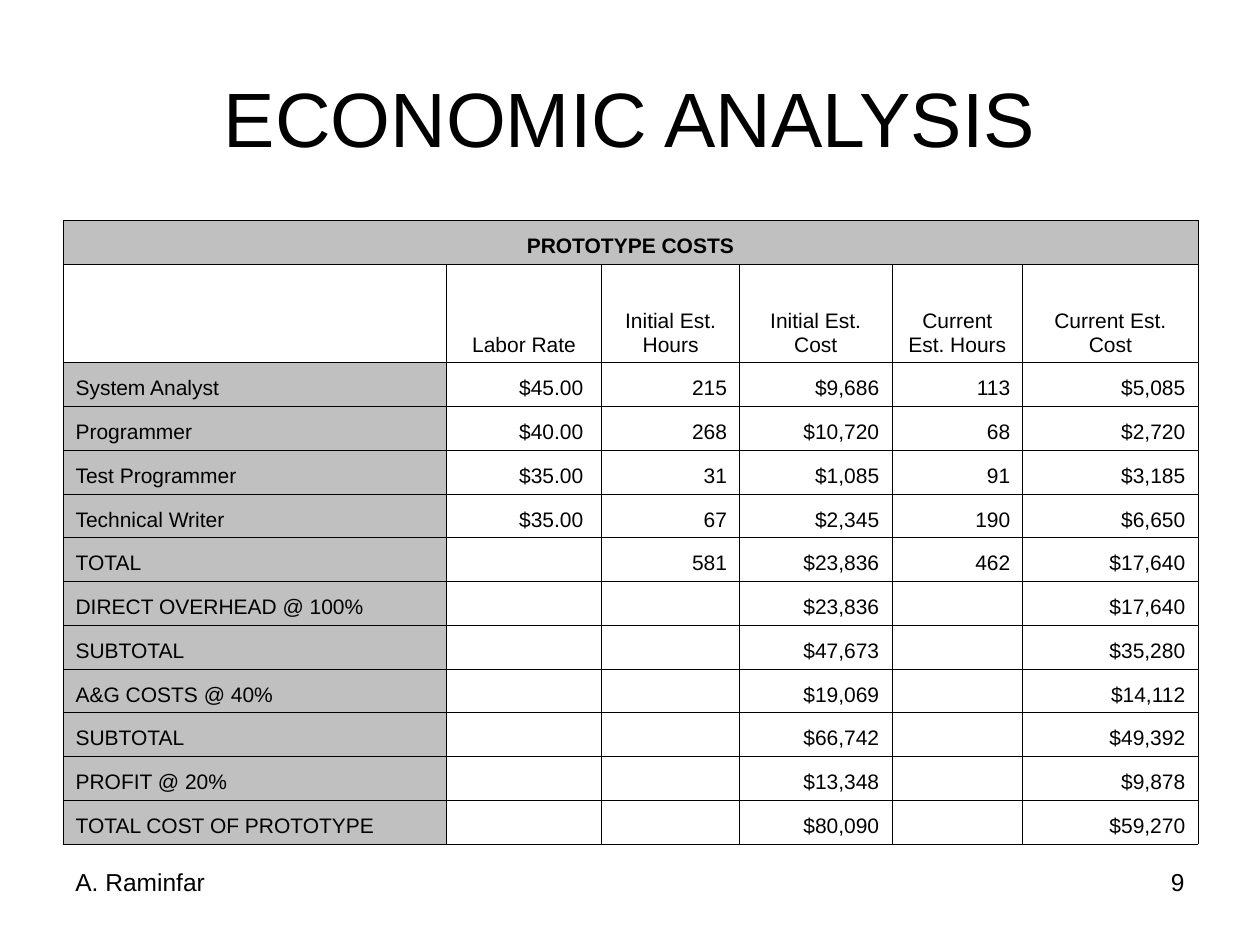
from lxml.etree import SubElement
from pptx import Presentation
from pptx.dml.color import RGBColor
from pptx.enum.text import MSO_ANCHOR, PP_ALIGN
from pptx.oxml.ns import qn
from pptx.util import Cm, Pt

# Content
TITLE = "ECONOMIC ANALYSIS"
AUTHOR = "A. Raminfar"
PAGE_NUMBER = "9"
COSTS = [
    ("PROTOTYPE COSTS", "", "", "", "", ""),
    ("", "Labor Rate", "Initial Est. Hours", "Initial Est. Cost",
     "Current Est. Hours", "Current Est. Cost"),
    ("System Analyst", "$45.00 ", "215", "$9,686", "113", "$5,085"),
    ("Programmer", "$40.00 ", "268", "$10,720", "68", "$2,720"),
    ("Test Programmer", "$35.00 ", "31", "$1,085", "91", "$3,185"),
    ("Technical Writer", "$35.00 ", "67", "$2,345", "190", "$6,650"),
    ("TOTAL", "", "581", "$23,836", "462", "$17,640"),
    ("DIRECT OVERHEAD @ 100%", "", "", "$23,836", "", "$17,640"),
    ("SUBTOTAL", "", "", "$47,673", "", "$35,280"),
    ("A&G COSTS @ 40%", "", "", "$19,069", "", "$14,112"),
    ("SUBTOTAL", "", "", "$66,742", "", "$49,392"),
    ("PROFIT @ 20%", "", "", "$13,348", "", "$9,878"),
    ("TOTAL COST OF PROTOTYPE", "", "", "$80,090", "", "$59,270"),
]

# Layout in centimetres
COLORS = {"text": "000000", "border": "000000", "label": "C0C0C0", "cell": "FFFFFF"}
FONT = "Arial"
SLIDE_WIDTH, SLIDE_HEIGHT = 25.4, 19.05
MARGIN = 1.27
CONTENT_WIDTH = SLIDE_WIDTH - 2 * MARGIN
TABLE_TOP, TABLE_HEIGHT, HEADER_HEIGHT = 4.45, 12.57, 1.98
ROW_HEIGHT = (TABLE_HEIGHT - HEADER_HEIGHT) / (len(COSTS) - 1)
COLUMN_WIDTHS = [7.73, 3.13, 2.78, 3.07, 2.64, 3.53]
FOOTER_TOP, FOOTER_WIDTH, FOOTER_HEIGHT = 17.35, 5.92, 1.32


def write(frame, text, size=12, bold=False, align=PP_ALIGN.LEFT):
    paragraph = frame.paragraphs[0]
    paragraph.alignment = align
    if not text:  # keeps an empty cell from growing to the default size
        SubElement(paragraph._p, qn("a:endParaRPr"), sz=str(size * 100))
        return
    run = paragraph.add_run()
    run.text = text
    run.font.name = FONT
    run.font.size = Pt(size)
    run.font.bold = bold
    run.font.color.rgb = RGBColor.from_string(COLORS["text"])


def add_text(slide, text, left, top, width, height, anchor=MSO_ANCHOR.TOP, **style):
    frame = slide.shapes.add_textbox(Cm(left), Cm(top), Cm(width), Cm(height)).text_frame
    frame.word_wrap = True
    frame.vertical_anchor = anchor
    write(frame, text, **style)


def add_borders(cell):
    properties = cell._tc.get_or_add_tcPr()
    for side in ("a:lnL", "a:lnR", "a:lnT", "a:lnB"):
        line = SubElement(properties, qn(side), w=str(Pt(0.45)))
        fill = SubElement(line, qn("a:solidFill"))
        SubElement(fill, qn("a:srgbClr"), val=COLORS["border"])


def add_costs(slide):
    costs = slide.shapes.add_table(
        len(COSTS), len(COLUMN_WIDTHS), Cm(MARGIN), Cm(TABLE_TOP),
        Cm(CONTENT_WIDTH), Cm(TABLE_HEIGHT)).table
    costs.first_row = costs.horz_banding = False
    for column, width in zip(costs.columns, COLUMN_WIDTHS):
        column.width = Cm(width)
    for r, values in enumerate(COSTS):
        costs.rows[r].height = Cm(HEADER_HEIGHT if r == 1 else ROW_HEIGHT)
        for c, value in enumerate(values):
            cell = costs.cell(r, c)
            cell.vertical_anchor = MSO_ANCHOR.BOTTOM
            add_borders(cell)
            shaded = r == 0 or (c == 0 and r > 1)
            cell.fill.solid()
            cell.fill.fore_color.rgb = RGBColor.from_string(
                COLORS["label" if shaded else "cell"])
            if r < 2:
                align = PP_ALIGN.CENTER
            else:
                align = PP_ALIGN.RIGHT if c else PP_ALIGN.LEFT
            write(cell.text_frame, value, bold=r == 0, align=align)
    costs.cell(0, 0).merge(costs.cell(0, len(COLUMN_WIDTHS) - 1))


def main():
    deck = Presentation()
    deck.slide_width, deck.slide_height = Cm(SLIDE_WIDTH), Cm(SLIDE_HEIGHT)
    slide = deck.slides.add_slide(deck.slide_layouts[6])

    # Title
    add_text(slide, TITLE, MARGIN, 0.76, CONTENT_WIDTH, 3.18,
             anchor=MSO_ANCHOR.MIDDLE, size=44, align=PP_ALIGN.CENTER)

    # Cost table
    add_costs(slide)

    # Footer
    page_left = SLIDE_WIDTH - MARGIN - FOOTER_WIDTH
    add_text(slide, PAGE_NUMBER, page_left, FOOTER_TOP, FOOTER_WIDTH, FOOTER_HEIGHT,
             size=14, align=PP_ALIGN.RIGHT)
    add_text(slide, AUTHOR, MARGIN, FOOTER_TOP, FOOTER_WIDTH, FOOTER_HEIGHT, size=14)

    deck.save("out.pptx")


if __name__ == "__main__":
    main()
